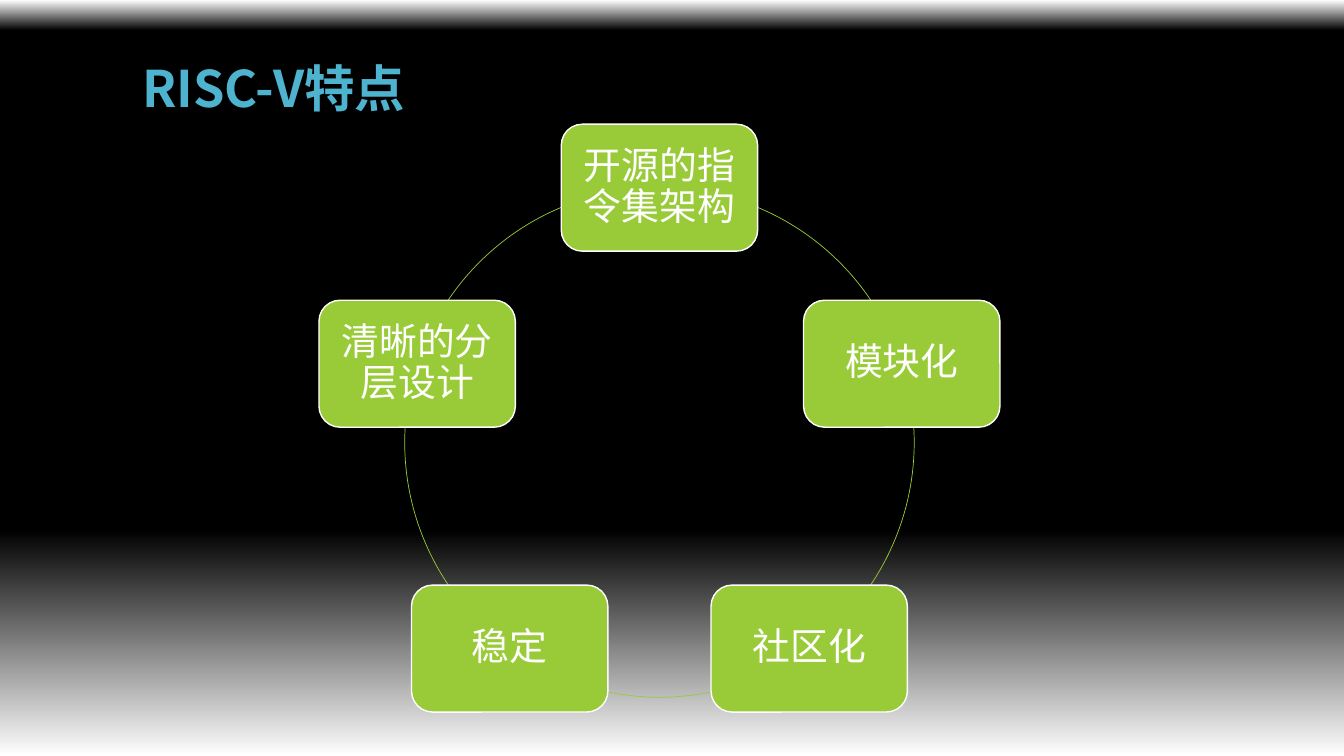
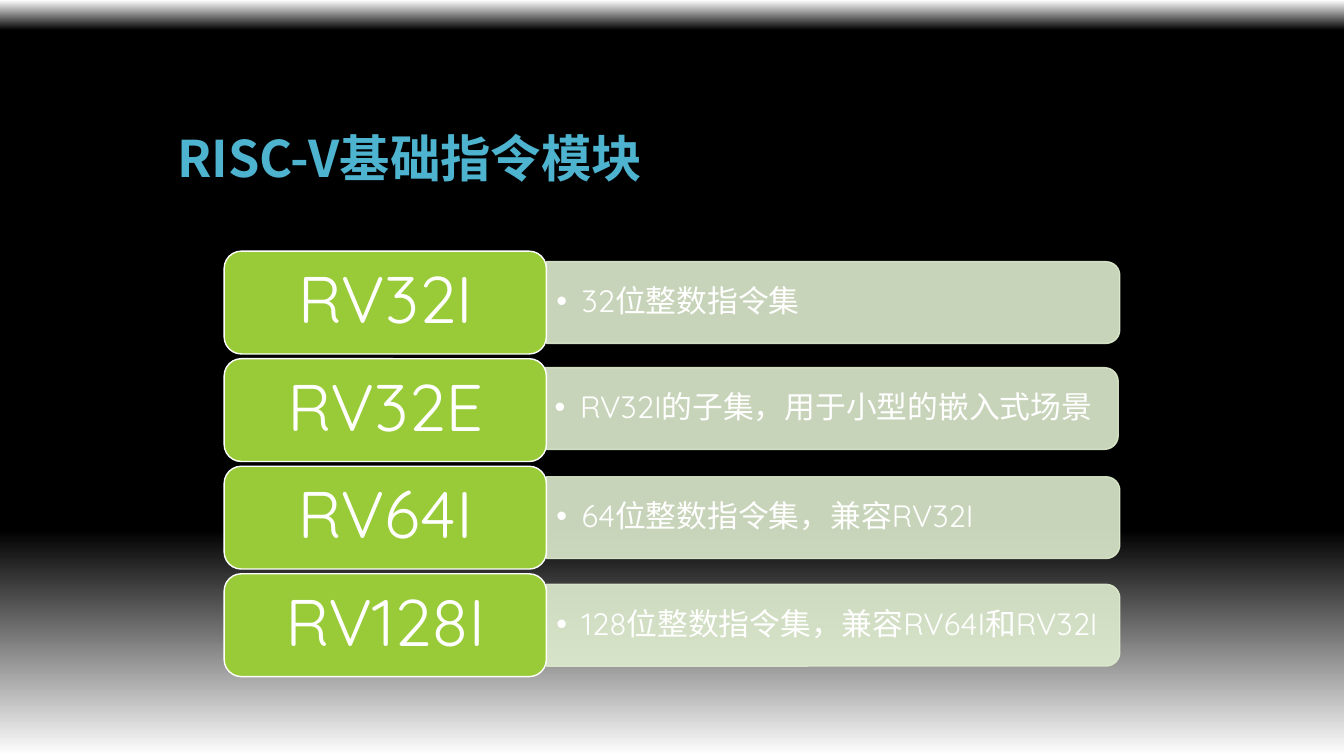
import math

import lxml.etree
import pptx
import pptx.dml.color
import pptx.enum.shapes
import pptx.enum.text
import pptx.oxml
import pptx.oxml.ns
import pptx.util

Cm, Pt = pptx.util.Cm, pptx.util.Pt
RGB = pptx.dml.color.RGBColor.from_string
SHAPE = pptx.enum.shapes.MSO_SHAPE
ALIGN = pptx.enum.text.PP_ALIGN
ANCHOR = pptx.enum.text.MSO_ANCHOR
qn = pptx.oxml.ns.qn


class Theme:
    white, title, green, pale = "FFFFFF", "4EB3CF", "99CB38", "DEECCE"
    bar_opacity = 90
    background = [(0, "FFFFFF"), (4, "000000"), (70, "000000"), (100, "FFFFFF")]
    font, cjk_font, bullet_font = "Quicksand", "Noto Sans CJK SC", "Arial"
    title_size, node_size, name_size, detail_size = 36, 27, 47, 22
    line_spacing = 0.9


def set_text(sp, text, size, color=Theme.white, font=Theme.font,
             align=ALIGN.LEFT, anchor=ANCHOR.MIDDLE, bold=False):
    tf = sp.text_frame
    tf.text = text
    tf.word_wrap = True
    tf.vertical_anchor = anchor
    p = tf.paragraphs[0]
    p.alignment = align
    p.line_spacing = Theme.line_spacing
    r = p.runs[0]
    r.font.name = font
    r.font.size = Pt(size)
    r.font.bold = bold
    r.font.color.rgb = RGB(color)
    ea = lxml.etree.SubElement(r.font._element, qn("a:ea"))
    ea.set("typeface", Theme.cjk_font)
    return p


def add_box(s, left, top, width, height, text, size):
    sp = s.shapes.add_shape(SHAPE.ROUNDED_RECTANGLE, Cm(left), Cm(top), Cm(width), Cm(height))
    sp.shadow.inherit = False
    sp.fill.solid()
    sp.fill.fore_color.rgb = RGB(Theme.green)
    sp.line.color.rgb = RGB(Theme.white)
    sp.line.width = Pt(1)
    sp.text_frame.margin_left = sp.text_frame.margin_right = Cm(0.25)
    set_text(sp, text, size, align=ALIGN.CENTER)


prs = pptx.Presentation()
prs.slide_width, prs.slide_height = Cm(33.87), Cm(19.05)

# Shared gradient background on the master
fill = prs.slide_master.background.fill
fill.gradient()
grad = fill._xPr.find(qn("a:gradFill"))
for child in list(grad):
    grad.remove(child)
stops = lxml.etree.SubElement(grad, qn("a:gsLst"))
for pos, color in Theme.background:
    stop = lxml.etree.SubElement(stops, qn("a:gs"), pos=str(pos * 1000))
    lxml.etree.SubElement(stop, qn("a:srgbClr"), val=color)
lxml.etree.SubElement(grad, qn("a:lin"), ang=str(90 * 60000), scaled="0")

# Slides and their titles
titles = [("RISC-V特点", 3.33, 0.77), ("RISC-V基础指令模块", 4.22, 2.54)]
for text, left, top in titles:
    s = prs.slides.add_slide(prs.slide_layouts[6])
    sp = s.shapes.add_textbox(Cm(left), Cm(top), Cm(25.4), Cm(2.34))
    set_text(sp, text, Theme.title_size, Theme.title, Theme.cjk_font,
             anchor=ANCHOR.BOTTOM, bold=True)
features_slide, modules_slide = prs.slides

# Slide 1: ring with features spaced evenly, clockwise from the top
features = ["开源的指令集架构", "模块化", "社区化", "稳定", "清晰的分层设计"]
cx, cy, radius = 16.62, 11.15, 6.42
node_w, node_h = 4.95, 3.2
ring = features_slide.shapes.add_shape(
    SHAPE.OVAL, Cm(cx - radius), Cm(cy - radius), Cm(2 * radius), Cm(2 * radius))
ring.shadow.inherit = False
ring.fill.background()
ring.line.color.rgb = RGB(Theme.green)
ring.line.width = Pt(0.5)
for i, text in enumerate(features):
    angle = 2 * math.pi * i / len(features)
    x, y = cx + radius * math.sin(angle), cy - radius * math.cos(angle)
    add_box(features_slide, x - node_w / 2, y - node_h / 2, node_w, node_h,
            text, Theme.node_size)

# Slide 2: one row per module, with the nudge of its bar
modules = [
    ("RV32I", "32位整数指令集", 0, 0),
    ("RV32E", "RV32I的子集，用于小型的嵌入式场景", -0.04, -0.04),
    ("RV64I", "64位整数指令集，兼容RV32I", 0, 0),
    ("RV128I", "128位整数指令集，兼容RV64I和RV32I", 0, 0),
]
name_x, first_y, name_w, name_h, pitch = 5.65, 6.33, 8.12, 2.59, 2.71
bar_w, bar_h, detail_w, detail_h = 14.45, 2.06, 14.35, 1.85
for i, (name, detail, dx, dy) in enumerate(modules):
    top = first_y + i * pitch
    bar_x, mid_y = name_x + name_w + dx, top + name_h / 2 + dy

    # Bar rounded on the right: a top-rounded shape turned a quarter
    bar = modules_slide.shapes.add_shape(
        SHAPE.ROUND_2_SAME_RECTANGLE, Cm(bar_x + (bar_w - bar_h) / 2),
        Cm(mid_y - bar_w / 2), Cm(bar_h), Cm(bar_w))
    bar.rotation = 90
    bar.shadow.inherit = False
    bar.fill.solid()
    bar.fill.fore_color.rgb = RGB(Theme.pale)
    bar.line.color.rgb = RGB(Theme.pale)
    bar.line.width = Pt(1)
    for clr in bar._element.spPr.iter(qn("a:srgbClr")):
        lxml.etree.SubElement(clr, qn("a:alpha"), val=str(Theme.bar_opacity * 1000))

    # Bulleted detail
    sp = modules_slide.shapes.add_textbox(
        Cm(bar_x), Cm(mid_y - detail_h / 2), Cm(detail_w), Cm(detail_h))
    p = set_text(sp, detail, Theme.detail_size)
    pPr = p._p.get_or_add_pPr()
    pPr.set("marL", str(Cm(0.64)))
    pPr.set("indent", str(-Cm(0.64)))
    lxml.etree.SubElement(pPr, qn("a:buFont"), typeface=Theme.bullet_font)
    lxml.etree.SubElement(pPr, qn("a:buChar"), char="•")

    add_box(modules_slide, name_x, top, name_w, name_h, name, Theme.name_size)

prs.save("out.pptx")
